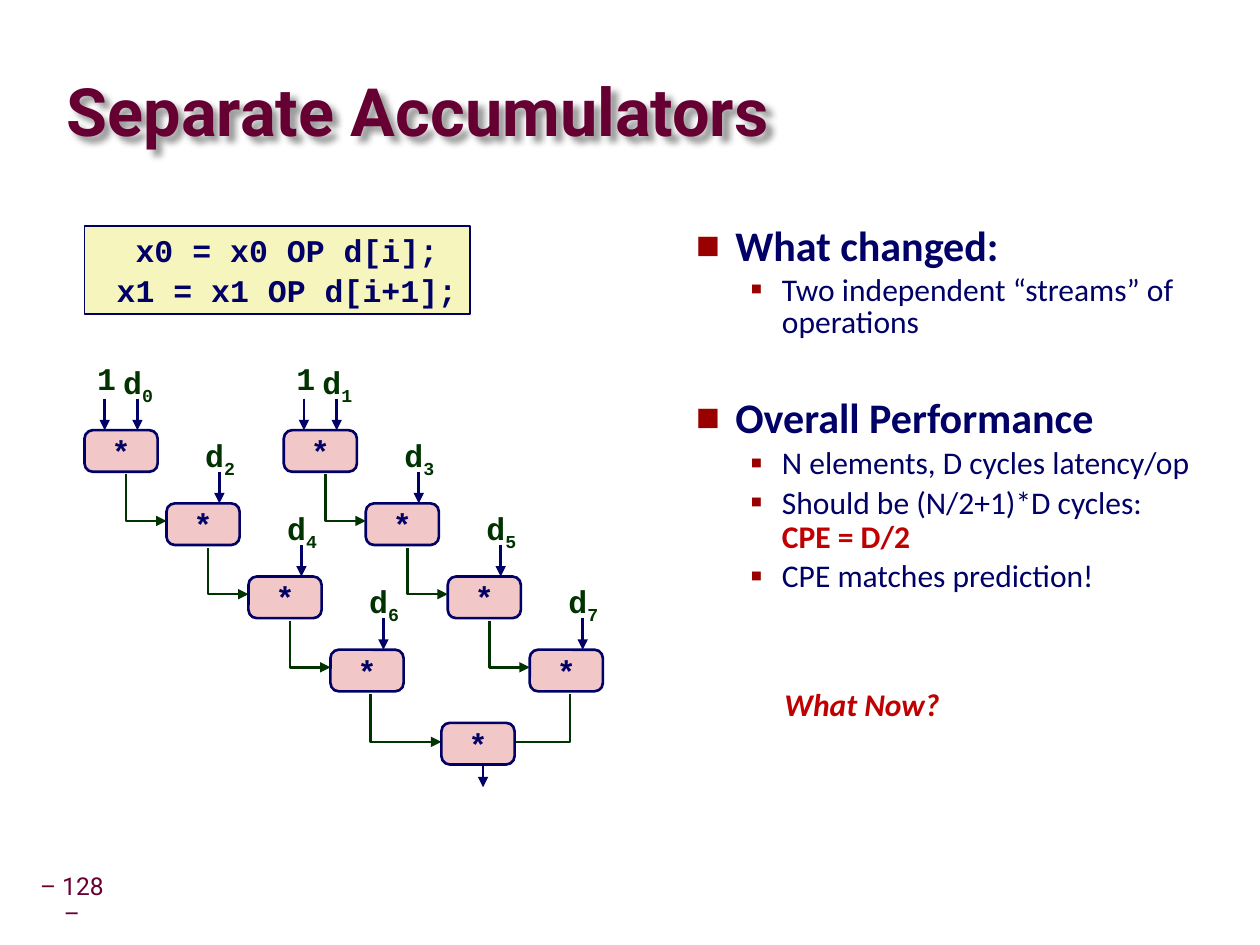
from lxml import etree
from pptx import Presentation
from pptx.dml.color import RGBColor
from pptx.enum import shapes, text
from pptx.oxml import ns
from pptx.util import Inches, Pt

NAVY = RGBColor(0x00, 0x00, 0x66)
GREEN = RGBColor(0x00, 0x33, 0x00)
MAROON = RGBColor(0x66, 0x00, 0x33)
RED = RGBColor(0xC0, 0x00, 0x00)
PINK = RGBColor(0xF1, 0xC7, 0xC7)
CREAM = RGBColor(0xF6, 0xF5, 0xBD)
BULLET_RED = RGBColor(0x99, 0x00, 0x00)

MONO = "Courier New"
NODE_W, NODE_H = 0.58, 0.33
STEP_X, STEP_Y = 0.65, 0.58
CHAIN_GAP = 1.58
LEVELS = 4


def sub(parent, tag, **attrs):
    return etree.SubElement(parent, ns.qn(tag), attrs)


def place(sp, box):
    sp.left, sp.top, sp.width, sp.height = [Inches(v) for v in box]


def add_run(p, words, font, size, color, bold=False):
    r = p.add_run()
    r.text = words
    r.font.name = font
    r.font.size = Pt(size)
    r.font.color.rgb = color
    r.font.bold = bold
    return r


def set_frame(sp, inset_x, inset_y, anchor=text.MSO_ANCHOR.TOP, wrap=False):
    tf = sp.text_frame
    tf.auto_size = text.MSO_AUTO_SIZE.NONE
    tf.word_wrap = wrap
    tf.margin_left = tf.margin_right = Inches(inset_x)
    tf.margin_top = tf.margin_bottom = Inches(inset_y)
    tf.vertical_anchor = anchor
    return tf


def center(p, spacing=None):
    p.alignment = text.PP_ALIGN.CENTER
    p.line_spacing = spacing
    return p


def add_label(s, box, inset_x=0.05, **frame):
    sp = s.shapes.add_textbox(*[Inches(v) for v in box])
    tf = set_frame(sp, inset_x, 0.05, **frame)
    return center(tf.paragraphs[0], 0.9)


def add_box(s, kind, box, fill, weight):
    sp = s.shapes.add_shape(kind, *[Inches(v) for v in box])
    sp.shadow.inherit = False
    sp.fill.solid()
    sp.fill.fore_color.rgb = fill
    sp.line.color.rgb = NAVY
    sp.line.width = Pt(weight)
    return sp


def style_line(sp, color, arrow):
    sp.line.color.rgb = color
    sp.line.width = Pt(1.5)
    if arrow:
        sub(sp.element.spPr.find(ns.qn("a:ln")), "a:tailEnd", type="triangle")


def add_down_arrow(s, x, top, bottom):
    sp = s.shapes.add_connector(
        shapes.MSO_CONNECTOR.STRAIGHT,
        Inches(x), Inches(top), Inches(x), Inches(bottom))
    style_line(sp, NAVY, True)
    sub(sp.element.spPr, "a:effectLst")


def add_elbow(s, x, y, end_x, end_y, arrow=True):
    fb = s.shapes.build_freeform(Inches(x), Inches(y))
    fb.add_line_segments(
        [(Inches(x), Inches(end_y)), (Inches(end_x), Inches(end_y))], close=False)
    sp = fb.convert_to_shape()
    sp.shadow.inherit = False
    sp.fill.background()
    style_line(sp, GREEN, arrow)


def add_node(s, x, y):
    sp = add_box(s, shapes.MSO_SHAPE.ROUNDED_RECTANGLE,
                 (x, y, NODE_W, NODE_H), PINK, 1.5)
    sp.adjustments[0] = 0.2
    tf = set_frame(sp, 0.1, 0.05, text.MSO_ANCHOR.MIDDLE)
    add_run(center(tf.paragraphs[0]), "*", MONO, 18, NAVY, True)


def add_operand(s, x, y, index):
    add_down_arrow(s, x + 0.42, y - 0.25, y)
    p = add_label(s, (x + 0.25, y - 0.58, 0.35, 0.38))
    add_run(p, "d", MONO, 18, GREEN, True)
    r = add_run(p, str(index), MONO, 18, GREEN, True)
    r.font._element.set("baseline", "-25000")


def add_chain(s, left, top, first):
    for level in range(LEVELS):
        x, y = left + level * STEP_X, top + level * STEP_Y
        add_node(s, x, y)
        add_operand(s, x, y, first + 2 * level)
        if level:
            add_elbow(s, x - STEP_X + 0.33, y - STEP_Y + 0.35, x, y + 0.14)
    add_down_arrow(s, left + 0.16, top - 0.25, top)
    p = add_label(s, (left + 0.05, top - 0.58, 0.25, 0.38))
    add_run(p, "1", MONO, 18, GREEN, True)
    return x + 0.32, y + 0.35


def add_diagram(s, left, top):
    ends = [add_chain(s, left + i * CHAIN_GAP, top, i) for i in range(2)]
    x, y = left + 2.83, top + 2.32
    add_elbow(s, *ends[0], x, y + 0.15)
    add_elbow(s, *ends[1], x + NODE_W, y + 0.15, arrow=False)
    add_node(s, x, y)
    add_down_arrow(s, x + 0.33, y + NODE_H, y + 0.51)


def add_title(s, box):
    sp = s.shapes.title
    place(sp, box)
    tf = set_frame(sp, 0, 0, text.MSO_ANCHOR.MIDDLE, wrap=True)
    p = tf.paragraphs[0]
    p.alignment = text.PP_ALIGN.LEFT
    p.line_spacing = 0.87
    add_run(p, "Separate Accumulators", "Roboto", 38, MAROON, True)
    effects = sub(sp.element.spPr, "a:effectLst")
    shadow = sub(effects, "a:outerShdw", blurRad="50800", dist="50800",
                 dir="2700000", algn="tl", rotWithShape="0")
    sub(sub(shadow, "a:prstClr", val="black"), "a:alpha", val="40000")


def add_code(s, box):
    sp = add_box(s, shapes.MSO_SHAPE.RECTANGLE, box, CREAM, 1)
    tf = set_frame(sp, 0.1, 0.05, text.MSO_ANCHOR.MIDDLE)
    first, second = tf.paragraphs[0], tf.add_paragraph()
    add_run(center(first), " x0 = x0 OP d[i];", MONO, 18, NAVY, True)
    add_run(center(second), " x1 = x1 OP d[i+1];", MONO, 18, NAVY, True)
    second.space_before = Pt(1.2)


def set_bullet(p, level):
    char, percent, margin, hang = [("■", 60, 0.31, 0.31), ("▪", 110, 0.68, 0.25)][level]
    pPr = p._p.get_or_add_pPr()
    pPr.set("marL", str(Inches(margin)))
    pPr.set("indent", str(-Inches(hang)))
    sub(sub(pPr, "a:buClr"), "a:srgbClr", val=str(BULLET_RED))
    sub(pPr, "a:buSzPct", val=str(percent * 1000))
    sub(pPr, "a:buFont", typeface="Calibri")
    sub(pPr, "a:buChar", char=char)
    p.level = level


def add_points(s, box):
    sp = s.placeholders[1]
    place(sp, box)
    tf = set_frame(sp, 0.1, 0.05, wrap=True)
    points = [
        (0, 0.85, 0, "What changed:", None),
        (1, 0.85, 3, "Two independent “streams” of operations", None),
        (0, 0.85, 34, "Overall Performance", None),
        (1, 0.9, 3, "N elements, D cycles latency/op", None),
        (1, 0.9, 3, "Should be (N/2+1)*D cycles:", "CPE = D/2"),
        (1, 0.9, 3, "CPE matches prediction!", None),
    ]
    for i, (level, spacing, before, words, result) in enumerate(points):
        p = tf.add_paragraph() if i else tf.paragraphs[0]
        set_bullet(p, level)
        p.line_spacing = spacing
        p.space_before = Pt(before)
        add_run(p, words, "Calibri", 18 if level else 24, NAVY, level == 0)
        if result:
            p.add_line_break()
            add_run(p, result, "Calibri", 18, RED, True)


def add_question(s, box):
    r = add_run(add_label(s, box, 0.1), "What Now?", "Calibri", 18, RED, True)
    r.font.italic = True


def add_page_number(s, box):
    p = add_label(s, box, anchor=text.MSO_ANCHOR.MIDDLE, wrap=True)
    add_run(p, "– 128 –", "Roboto", 14, MAROON)


def main():
    prs = Presentation()
    prs.slide_width, prs.slide_height = Inches(9.99), Inches(7.49)
    s = prs.slides.add_slide(prs.slide_layouts[1])
    add_title(s, (0.53, 0.5, 8.29, 0.83))
    add_code(s, (0.67, 1.79, 3.06, 0.7))
    add_diagram(s, 0.67, 3.41)
    add_points(s, (5.42, 1.75, 4.31, 3.41))
    add_question(s, (6.08, 5.41, 1.51, 0.38))
    add_page_number(s, (0.23, 6.98, 0.68, 0.32))
    prs.save("out.pptx")


if __name__ == "__main__":
    main()
